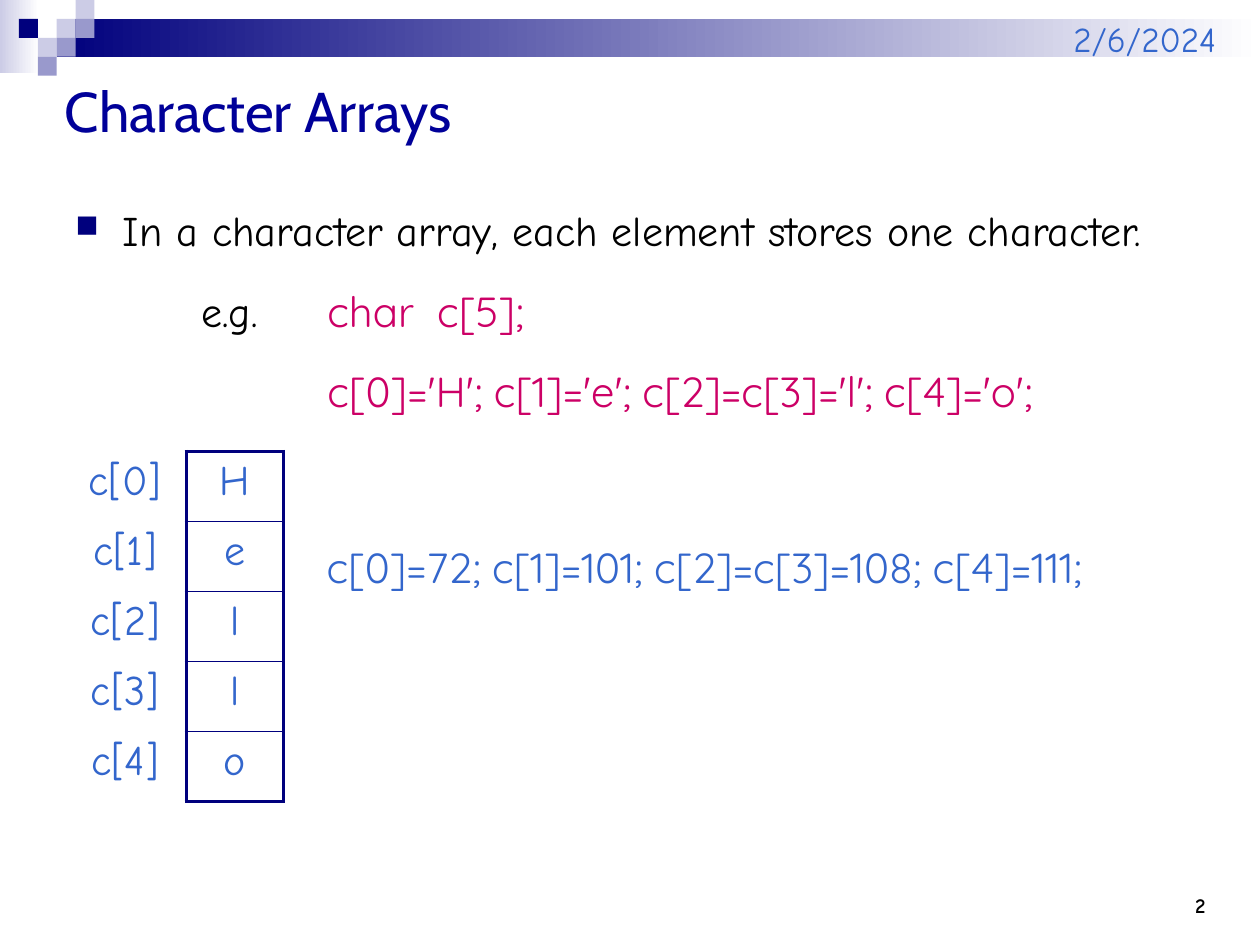
from dataclasses import dataclass

from lxml import etree
from pptx import Presentation
from pptx.dml.color import RGBColor
from pptx.enum.shapes import MSO_SHAPE
from pptx.enum.text import MSO_ANCHOR, PP_ALIGN
from pptx.oxml.ns import qn
from pptx.util import Pt

RECTANGLE = MSO_SHAPE.RECTANGLE
TOP, MIDDLE, BOTTOM = MSO_ANCHOR.TOP, MSO_ANCHOR.MIDDLE, MSO_ANCHOR.BOTTOM
LEFT, CENTER, RIGHT = PP_ALIGN.LEFT, PP_ALIGN.CENTER, PP_ALIGN.RIGHT

COLORS = {
    "navy": "00007D",
    "title": "000099",
    "lavender": "CCCCE6",
    "violet": "9999CC",
    "white": "FFFFFF",
    "black": "000000",
    "blue": "3366CC",
    "pink": "CC0066",
}
BODY_FONT, CODE_FONT, TITLE_FONT = "Comic Neue", "Quicksand", "Cabin"
TILE = 10.8
WORD = "Hello"
ROW_HEIGHT = 40
THICK, THIN = 2.25, 1


@dataclass(frozen=True)
class Box:
    left: float
    top: float
    width: float
    height: float

    def lengths(self) -> tuple:
        return tuple(Pt(v) for v in (self.left, self.top, self.width, self.height))


@dataclass(frozen=True)
class Style:
    font: str
    size: float
    color: str
    bold: bool = False


@dataclass(frozen=True)
class Label:
    text: str
    box: Box
    style: Style
    align: PP_ALIGN = LEFT
    anchor: MSO_ANCHOR = TOP


BODY = Style(BODY_FONT, 24, "black")
CODE = Style(CODE_FONT, 24, "pink")
CELL = Style(BODY_FONT, 24, "blue")

FADES = [("lavender", Box(0, 0, 22.3, 41.8)), ("navy", Box(32.4, TILE, 687.6, 21.6))]
TILES = [
    (3, 1, "lavender"), (4, 0, "lavender"), (4, 1, "violet"), (2, 2, "lavender"),
    (1, 1, "navy"), (3, 2, "violet"), (2, 3, "violet"),
]
LABELS = [
    Label("2", Box(636, 492, 60, 36), Style(BODY_FONT, 12, "black", True), RIGHT, BOTTOM),
    Label("2/6/2024", Box(534, 0, 168, 37.5), Style(BODY_FONT, 20, "blue"), RIGHT, BOTTOM),
    Label("Character Arrays", Box(30, 36, 648, 54), Style(TITLE_FONT, 32, "title"), LEFT, MIDDLE),
    Label("c[0]=72; c[1]=101; c[2]=c[3]=108; c[4]=111;", Box(179.5, 306, 517, 36),
          Style(CODE_FONT, 24, "blue")),
]
BODY_LINES = [
    [("In a character array, each element stores one character.", BODY)],
    [("\te.g.\t", BODY), ("char  c[5];", CODE)],
    [("\t\tc[0]='H'; c[1]='e'; c[2]=c[3]='l'; c[4]='o';", CODE)],
]


def rgb(name: str) -> RGBColor:
    return RGBColor.from_string(COLORS[name])


def add_run(paragraph, text: str, style: Style) -> None:
    run = paragraph.add_run()
    run.text = text
    run.font.name = style.font
    run.font.size = Pt(style.size)
    run.font.bold = style.bold
    run.font.color.rgb = rgb(style.color)


def add_rectangle(slide, box: Box):
    rectangle = slide.shapes.add_shape(RECTANGLE, *box.lengths())
    rectangle.shadow.inherit = False
    rectangle.line.fill.background()
    return rectangle


def add_fade(slide, color: str, box: Box) -> None:
    fill = add_rectangle(slide, box).fill
    fill.gradient()
    fill.gradient_angle = 0
    for stop, name in zip(fill.gradient_stops, (color, "white")):
        stop.color.rgb = rgb(name)


def add_tile(slide, column: int, row: int, color: str) -> None:
    fill = add_rectangle(slide, Box(column * TILE, row * TILE, TILE, TILE)).fill
    fill.solid()
    fill.fore_color.rgb = rgb(color)


def add_frame(slide, box: Box, anchor: MSO_ANCHOR):
    frame = slide.shapes.add_textbox(*box.lengths()).text_frame
    frame.word_wrap = True
    frame.vertical_anchor = anchor
    return frame


def add_label(slide, label: Label) -> None:
    paragraph = add_frame(slide, label.box, label.anchor).paragraphs[0]
    paragraph.alignment = label.align
    add_run(paragraph, label.text, label.style)


def add_body(slide) -> None:
    paragraph = add_frame(slide, Box(36, 96, 660, 420), TOP).paragraphs[0]
    paragraph.line_spacing = 1.6
    paragraph.space_before = Pt(4.8)
    properties = paragraph._p.get_or_add_pPr()
    for name, value in (("marL", Pt(27)), ("indent", -Pt(27)), ("defTabSz", Pt(72))):
        properties.set(name, str(int(value)))
    bullet_color = etree.SubElement(properties, qn("a:buClr"))
    etree.SubElement(bullet_color, qn("a:srgbClr"), val=COLORS["navy"])
    etree.SubElement(properties, qn("a:buSzPct"), val="75000")
    etree.SubElement(properties, qn("a:buChar"), char="■")
    for index, line in enumerate(BODY_LINES):
        if index:
            paragraph.add_line_break()
        for text, style in line:
            add_run(paragraph, text, style)


def set_borders(cell, **widths: float) -> None:
    properties = cell._tc.get_or_add_tcPr()
    for position, side in enumerate("LRTB"):
        width = widths.get(side, 0)
        border = etree.Element(qn(f"a:ln{side}"), w=str(int(Pt(width))))
        if width:
            solid = etree.SubElement(border, qn("a:solidFill"))
            etree.SubElement(solid, qn("a:srgbClr"), val=COLORS["navy"])
        else:
            etree.SubElement(border, qn("a:noFill"))
        properties.insert(position, border)


def fill_cell(cell, text: str, right_margin: float) -> None:
    cell.fill.background()
    cell.margin_left, cell.margin_right = Pt(0), Pt(right_margin)
    cell.margin_top = cell.margin_bottom = Pt(3.6)
    cell.vertical_anchor = TOP
    paragraph = cell.text_frame.paragraphs[0]
    paragraph.alignment = CENTER
    add_run(paragraph, text, CELL)


def add_array(slide) -> None:
    last = len(WORD) - 1
    box = Box(42, 258, 120, ROW_HEIGHT * len(WORD))
    table = slide.shapes.add_table(len(WORD), 2, *box.lengths()).table
    table.first_row = table.horz_banding = False
    for column, width in zip(table.columns, (64.5, 55.5)):
        column.width = Pt(width)
    for index, letter in enumerate(WORD):
        table.rows[index].height = Pt(ROW_HEIGHT)
        name_cell, letter_cell = table.cell(index, 0), table.cell(index, 1)
        fill_cell(name_cell, f"c[{index}]", 5.8)
        fill_cell(letter_cell, letter, 0)
        set_borders(name_cell, R=THICK)
        set_borders(letter_cell, L=THICK, R=THICK,
                    T=THIN if index else THICK, B=THIN if index < last else THICK)


def main() -> None:
    """Build the character array slide."""
    deck = Presentation()
    deck.slide_width, deck.slide_height = Pt(720), Pt(540)
    slide = deck.slides.add_slide(deck.slide_layouts[6])
    for color, box in FADES:
        add_fade(slide, color, box)
    for column, row, color in TILES:
        add_tile(slide, column, row, color)
    for label in LABELS:
        add_label(slide, label)
    add_body(slide)
    add_array(slide)
    deck.save("out.pptx")


if __name__ == "__main__":
    main()
